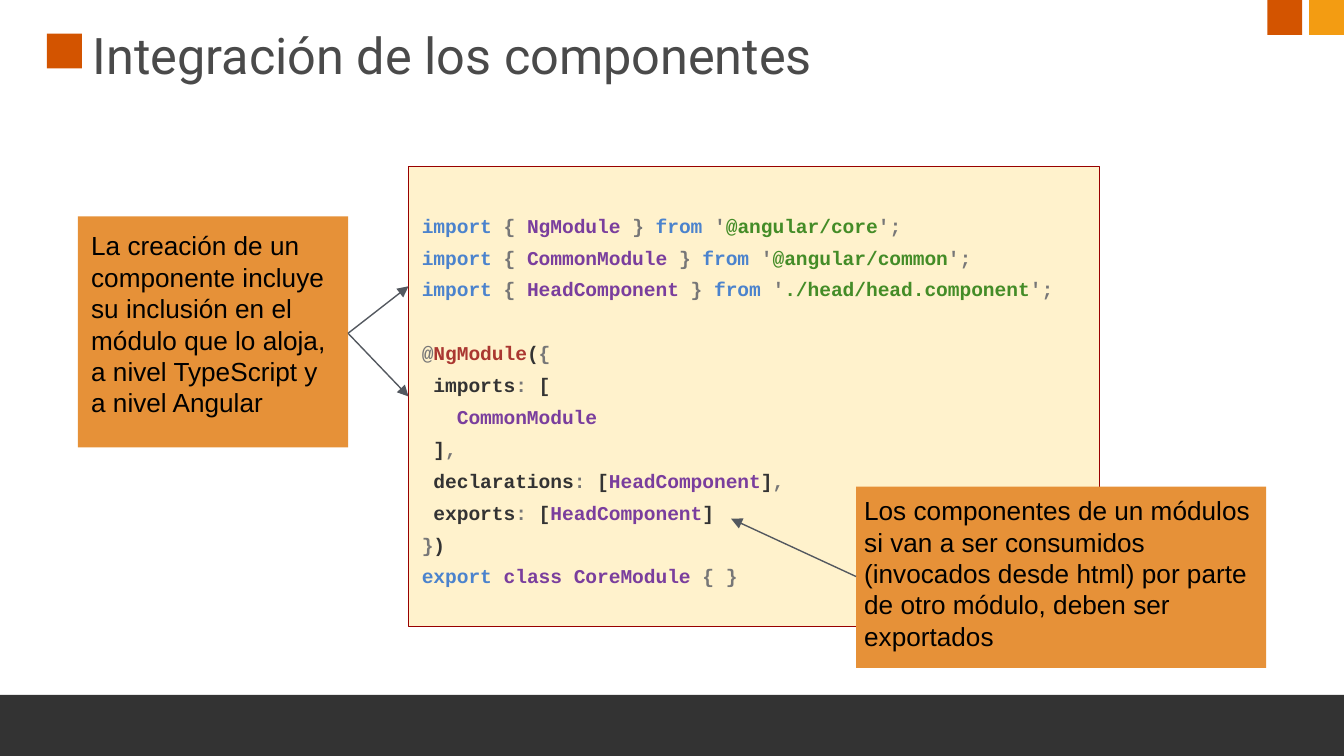
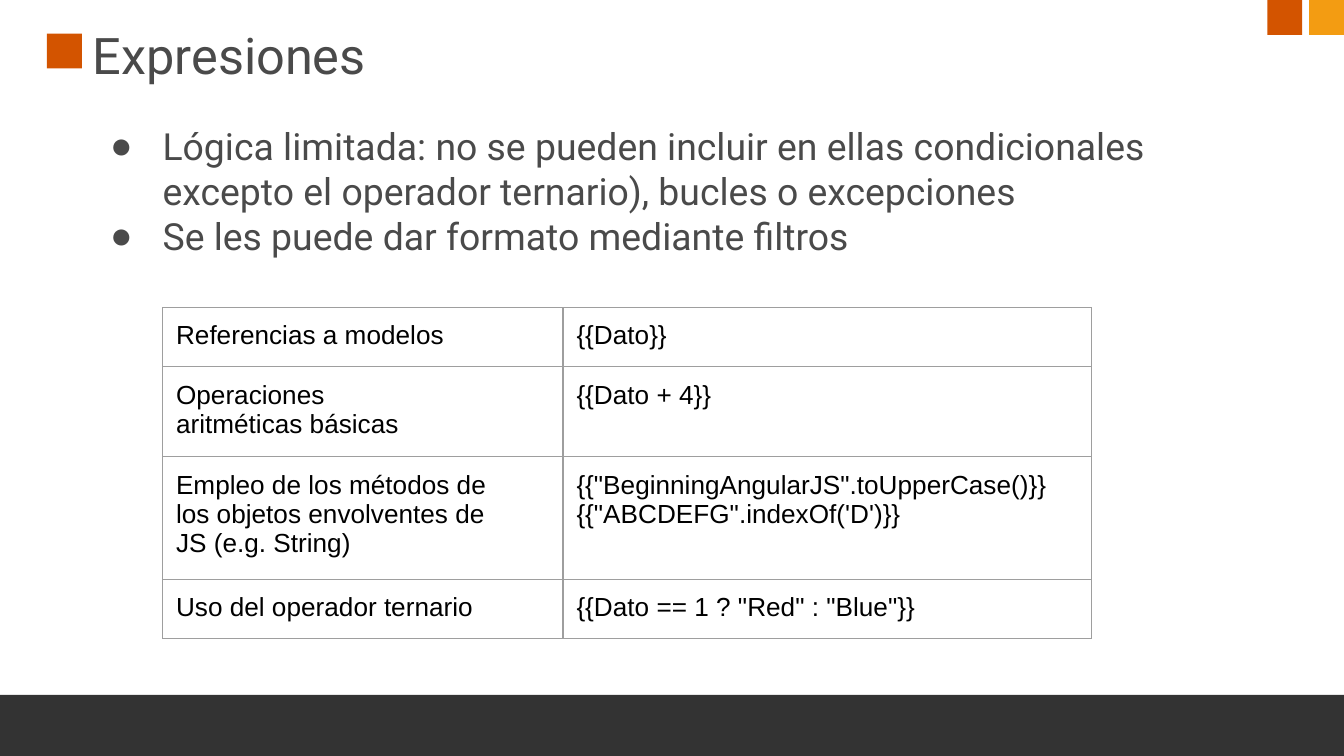
import dataclasses

import lxml.etree
import pptx
import pptx.dml.color
import pptx.enum.shapes
import pptx.enum.text
import pptx.oxml.ns
import pptx.util

Inches = pptx.util.Inches
Pt = pptx.util.Pt
RECT = pptx.enum.shapes.MSO_SHAPE.RECTANGLE
TOP = pptx.enum.text.MSO_ANCHOR.TOP
MIDDLE = pptx.enum.text.MSO_ANCHOR.MIDDLE


@dataclasses.dataclass(frozen=True)
class Theme:
    accent: str = "D35400"
    accent_light: str = "F39C12"
    band: str = "333333"
    heading: str = "4A4A4A"
    text: str = "000000"
    callout: str = "E69138"
    code_fill: str = "FFF2CC"
    code_line: str = "980000"
    arrow: str = "53585F"
    grid: str = "9E9E9E"
    keyword: str = "4B83CD"
    mark: str = "777777"
    name: str = "7A3E9D"
    string: str = "448C27"
    decorator: str = "AA3731"
    plain: str = "333333"
    heading_font: str = "Roboto"
    text_font: str = "Arial"
    code_font: str = "Courier New"
    title_size: float = 27
    list_size: float = 20
    text_size: float = 14
    code_size: float = 10.5
    line_width: float = 0.75


T = Theme()

IMPORTS = [
    ("NgModule", "@angular/core"),
    ("CommonModule", "@angular/common"),
    ("HeadComponent", "./head/head.component"),
]
MODULE_CODE = [
    [("@", T.mark), ("NgModule", T.decorator), ("(", T.plain), ("{", T.mark)],
    [(" imports", T.plain), (":", T.mark), (" [", T.plain)],
    [("   CommonModule", T.name)],
    [(" ]", T.plain), (",", T.mark)],
    [(" declarations", T.plain), (":", T.mark), (" [", T.plain),
     ("HeadComponent", T.name), ("]", T.plain), (",", T.mark)],
    [(" exports", T.plain), (":", T.mark), (" [", T.plain),
     ("HeadComponent", T.name), ("]", T.plain)],
    [("}", T.mark), (")", T.plain)],
    [("export ", T.keyword), ("class CoreModule ", T.name), ("{ }", T.mark)],
]
EXPRESSIONS = [
    ("Referencias a modelos", "{{Dato}}"),
    ("Operaciones\varitméticas básicas", "{{Dato + 4}}"),
    ("Empleo de los métodos de\vlos objetos envolventes de\vJS (e.g. String)",
     "{{\"BeginningAngularJS\".toUpperCase()}}\v{{\"ABCDEFG\".indexOf('D')}}"),
    ("Uso del operador ternario", '{{Dato == 1 ? "Red" : "Blue"}}'),
]


def rgb(color):
    return pptx.dml.color.RGBColor.from_string(color)


def add_xml(parent, tag, **attrs):
    return lxml.etree.SubElement(parent, pptx.oxml.ns.qn(tag), attrs)


def format_run(r, font, size, color, bold=False):
    r.font.name, r.font.size, r.font.bold = font, Pt(size), bold
    r.font.color.rgb = rgb(color)


def format_text(tf, font, size, color):
    for p in tf.paragraphs:
        p.alignment = pptx.enum.text.PP_ALIGN.LEFT
        for r in p.runs:
            format_run(r, font, size, color)


def set_frame(tf, inset, anchor=TOP):
    tf.word_wrap = True
    tf.auto_size = pptx.enum.text.MSO_AUTO_SIZE.NONE
    tf.vertical_anchor = anchor
    tf.margin_left = tf.margin_right = Inches(inset)
    tf.margin_top = tf.margin_bottom = Inches(inset)


def place(sp, left, top, width, height):
    sp.left, sp.top = Inches(left), Inches(top)
    sp.width, sp.height = Inches(width), Inches(height)


def fill_shape(sp, color):
    sp.fill.solid()
    sp.fill.fore_color.rgb = rgb(color)


def add_rect(s, left, top, width, height, color):
    sp = s.shapes.add_shape(RECT, Inches(left), Inches(top), Inches(width), Inches(height))
    sp.shadow.inherit = False
    fill_shape(sp, color)
    sp.line.fill.background()
    return sp


def decorate_layout(layout, s):
    """Draw the shared squares and band on s, then move them into its layout."""
    tree = layout.shapes._spTree
    for box in [
        (0.35, 0.25, 0.26, 0.26, T.accent),
        (-0.03, 5.17, 10.05, 0.46, T.band),
        (9.43, 0, 0.26, 0.26, T.accent),
        (9.74, 0, 0.26, 0.26, T.accent_light),
    ]:
        tree.append(add_rect(s, *box)._element)


def set_title(s, text):
    sp = s.shapes.title
    place(sp, 0.63, 0.12, 8.57, 0.59)
    sp.text_frame.text = text
    set_frame(sp.text_frame, 0.06)
    format_text(sp.text_frame, T.heading_font, T.title_size, T.heading)


def set_indent(p, left, hanging, bullet=None):
    pPr = p._p.get_or_add_pPr()
    pPr.set("marL", str(Inches(left)))
    pPr.set("indent", str(Inches(-hanging)))
    if bullet:
        add_xml(add_xml(pPr, "a:buClr"), "a:srgbClr", val=T.heading)
        add_xml(pPr, "a:buChar", char=bullet)
    else:
        add_xml(pPr, "a:buNone")
    p.space_before = Pt(0)


def set_list(sp, items):
    place(sp, 0.65, 0.86, 8.57, 1.21)
    tf = sp.text_frame
    tf.text = "\n".join(items)
    set_frame(tf, 0.06)
    for p in tf.paragraphs:
        set_indent(p, 0.5, 0.39, "●")
    format_text(tf, T.heading_font, T.list_size, T.heading)


def set_callout(sp, text, inset):
    fill_shape(sp, T.callout)
    tf = sp.text_frame
    tf.text = text
    set_frame(tf, inset)
    set_indent(tf.paragraphs[0], 0, 0)
    format_text(tf, T.text_font, T.text_size, T.text)


def import_line(name, source):
    return [("import ", T.keyword), ("{ ", T.mark), (name + " ", T.name), ("} ", T.mark),
            ("from ", T.keyword), ("'", T.mark), (source, T.string), ("';", T.mark)]


def add_code(s, blocks):
    """Add the code panel, with a line's gap between blocks of lines."""
    sp = add_rect(s, 3.04, 1.24, 5.14, 3.42, T.code_fill)
    sp.line.color.rgb = rgb(T.code_line)
    sp.line.width = Pt(T.line_width)
    tf = sp.text_frame
    set_frame(tf, 0.1, MIDDLE)
    tf.text = "\n".join("".join(text for text, _ in line) for block in blocks for line in block)
    paragraphs = iter(tf.paragraphs)
    for b, block in enumerate(blocks):
        for i, line in enumerate(block):
            p = next(paragraphs)
            p.clear()
            p.alignment = pptx.enum.text.PP_ALIGN.LEFT
            p.line_spacing = 1.36
            if b and not i:
                p.space_before = Pt(17)
            for text, color in line:
                r = p.add_run()
                r.text = text
                format_run(r, T.code_font, T.code_size, color, bold=True)


def add_arrow(s, start, end):
    cx = s.shapes.add_connector(pptx.enum.shapes.MSO_CONNECTOR.STRAIGHT,
                                *map(Inches, start + end))
    cx.line.color.rgb = rgb(T.arrow)
    cx.line.width = Pt(T.line_width)
    add_xml(cx.line._get_or_add_ln(), "a:tailEnd", type="triangle")
    add_xml(cx._element.spPr, "a:effectLst")


def set_borders(cell):
    tcPr = cell._tc.get_or_add_tcPr()
    for tag in ("a:lnL", "a:lnR", "a:lnT", "a:lnB"):
        ln = add_xml(tcPr, tag, w=str(Pt(T.line_width)))
        add_xml(add_xml(ln, "a:solidFill"), "a:srgbClr", val=T.grid)


def add_grid(s, left, top, widths, heights, rows):
    table = s.shapes.add_table(len(heights), len(widths), Inches(left), Inches(top),
                               Inches(sum(widths)), Inches(sum(heights))).table
    table.first_row = table.horz_banding = False
    for column, width in zip(table.columns, widths):
        column.width = Inches(width)
    for row, height, texts in zip(table.rows, heights, rows):
        row.height = Inches(height)
        for cell, text in zip(row.cells, texts):
            cell.text_frame.text = text
            cell.margin_left = cell.margin_right = Inches(0.1)
            cell.margin_top = cell.margin_bottom = Inches(0.1)
            format_text(cell.text_frame, T.text_font, T.text_size, T.text)
            set_borders(cell)
            cell.fill.background()


def build_integration(s):
    set_title(s, "Integración de los componentes")
    add_code(s, [[import_line(*item) for item in IMPORTS], MODULE_CODE])
    set_callout(add_rect(s, 0.58, 1.61, 2.01, 1.72, T.callout),
                "La creación de un componente incluye su inclusión en el módulo "
                "que lo aloja, a nivel TypeScript y a nivel Angular", 0.1)
    body = s.placeholders[1]
    place(body, 6.37, 3.62, 3.05, 1.35)
    set_callout(body, "Los componentes de un módulos si van a ser consumidos (invocados "
                      "desde html) por parte de otro módulo, deben ser exportados", 0.06)
    s.shapes._spTree.append(body._element)  # in front of the code panel
    for start, end in [((2.59, 2.48), (3.04, 2.13)),
                       ((2.59, 2.48), (3.04, 2.95)),
                       ((6.37, 4.29), (5.44, 3.86))]:
        add_arrow(s, start, end)


def build_expressions(s):
    set_title(s, "Expresiones")
    set_list(s.placeholders[1], [
        "Lógica limitada: no se pueden incluir en ellas condicionales excepto "
        "el operador ternario), bucles o excepciones",
        "Se les puede dar formato mediante filtros",
    ])
    add_grid(s, 1.21, 2.29, [2.98, 3.93], [0.44, 0.67, 0.91, 0.44], EXPRESSIONS)


def main():
    prs = pptx.Presentation()
    prs.slide_width = Inches(10)
    prs.slide_height = prs.slide_width * 9 // 16
    layout = prs.slide_layouts[1]
    builders = [build_integration, build_expressions]
    slides = [prs.slides.add_slide(layout) for _ in builders]
    decorate_layout(layout, slides[0])
    for build, s in zip(builders, slides):
        build(s)
    prs.save("out.pptx")


if __name__ == "__main__":
    main()
